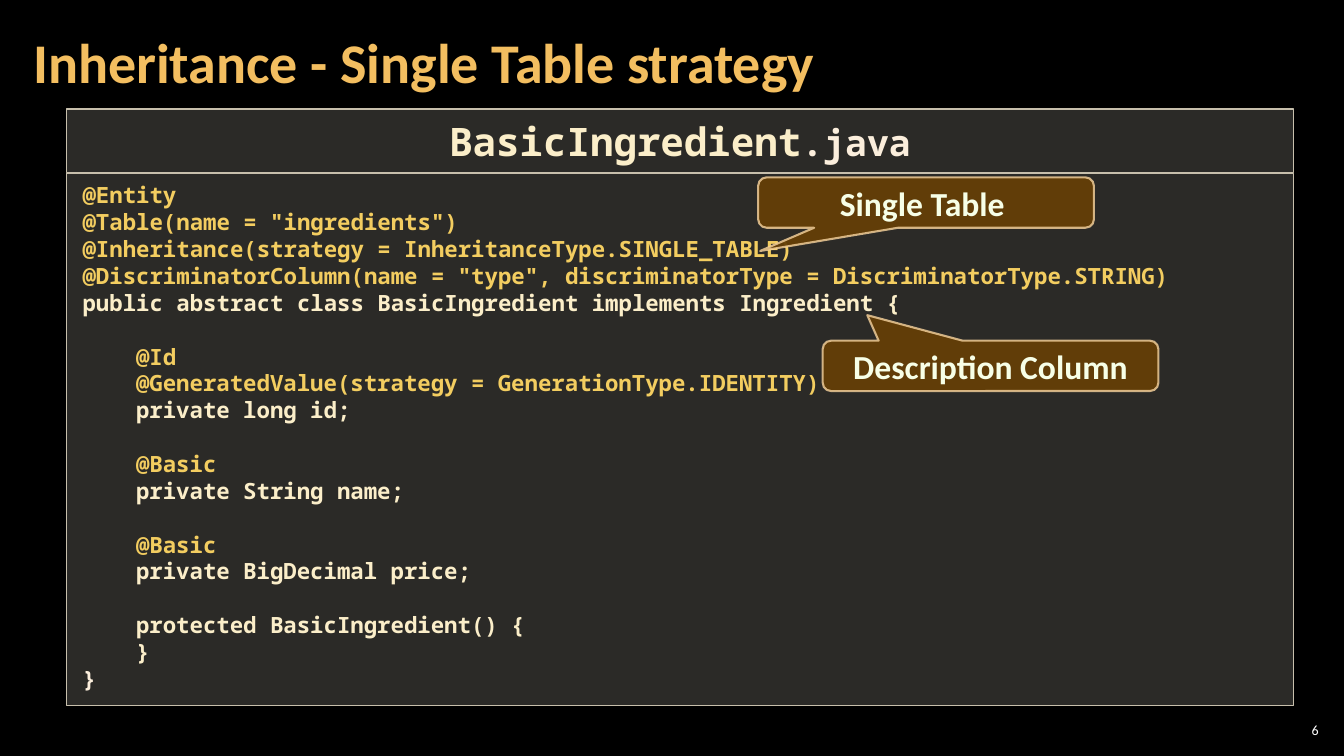
from pptx import Presentation
from pptx.dml.color import RGBColor
from pptx.enum.shapes import MSO_SHAPE
from pptx.enum.text import MSO_ANCHOR, PP_ALIGN
from pptx.oxml.ns import qn
from pptx.util import Inches, Pt
from lxml import etree

RECT, CALLOUT = MSO_SHAPE.RECTANGLE, MSO_SHAPE.ROUNDED_RECTANGULAR_CALLOUT
MIDDLE, TOP = MSO_ANCHOR.MIDDLE, MSO_ANCHOR.TOP
CENTER, LEFT, RIGHT = PP_ALIGN.CENTER, PP_ALIGN.LEFT, PP_ALIGN.RIGHT
MONO, SANS = "Noto Sans Mono", "Calibri"
GOLD, CREAM, PALE = "F3CD60", "FBEEC9", "FBEEDC"
CODE_SIZE = 16
LINE_RATIO = 1.2
PANEL_LEFT, PANEL_WIDTH = 0.66, 12.17


def paint(fmt, color, alpha=100):
    fmt.solid()
    fmt.fore_color.rgb = RGBColor.from_string(color)
    if alpha < 100:
        node = fmt._xPr.find(qn("a:solidFill"))[0]
        etree.SubElement(node, qn("a:alpha"), val=str(alpha * 1000))


def add_box(kind, box, fill, line, anchor, insets):
    sp = slide.shapes.add_shape(kind, *[Inches(v) for v in box])
    sp.shadow.inherit = False
    paint(sp.fill, *fill)
    color, width, alpha = line
    sp.line.width = Pt(width)
    paint(sp.line.fill, color, alpha)
    tf = sp.text_frame
    tf.word_wrap = True
    tf.vertical_anchor = anchor
    tf.margin_left = tf.margin_right = Inches(insets[0])
    tf.margin_top = tf.margin_bottom = Inches(insets[1])
    return sp


prs = Presentation()
prs.slide_width, prs.slide_height = Inches(13.33), Inches(7.5)
slide = prs.slides.add_slide(prs.slide_layouts[5])
paint(slide.background.fill, "000000")

title = slide.shapes.title
title.left, title.top = Inches(0.21), Inches(0.04)
title.width, title.height = Inches(10.47), Inches(1.21)
tf = title.text_frame
tf.text = "Inheritance - Single Table strategy"
tf.vertical_anchor = MIDDLE
tf.margin_left = tf.margin_right = Inches(0.12)
tf.margin_top = tf.margin_bottom = Inches(0.04)
p = tf.paragraphs[0]
p.alignment = LEFT
p.line_spacing = 0.9
p.font.name, p.font.size, p.font.bold = SANS, Pt(40), True
paint(p.font.fill, "F3BE60")

number = slide.shapes.add_textbox(Inches(12.65), Inches(7.14), Inches(0.47), Inches(0.21))
tf = number.text_frame
tf.word_wrap = True
tf.vertical_anchor = MIDDLE
tf.margin_left = tf.margin_right = tf.margin_top = tf.margin_bottom = Inches(0.04)
p = tf.paragraphs[0]
p.text = "6"
p.alignment = RIGHT
p.font.name, p.font.size = SANS, Pt(10)
paint(p.font.fill, "FFFFFF")

panel_style = (("D9D5C7", 20), ("C7BFAC", 1, 100), TOP, (0.16, 0.08))
code = add_box(RECT, (PANEL_LEFT, 1.72, PANEL_WIDTH, 5.28), *panel_style)
header = add_box(RECT, (PANEL_LEFT, 1.08, PANEL_WIDTH, 0.63), *panel_style)

code_blocks = [
    (0, ["@Entity",
         '@Table(name = "ingredients")',
         "@Inheritance(strategy = InheritanceType.SINGLE_TABLE)",
         '@DiscriminatorColumn(name = "type", discriminatorType = DiscriminatorType.STRING)',
         "public abstract class BasicIngredient implements Ingredient {"]),
    (1, ["@Id",
         "@GeneratedValue(strategy = GenerationType.IDENTITY)",
         "private long id;"]),
    (1, ["@Basic", "private String name;"]),
    (1, ["@Basic", "private BigDecimal price;"]),
    (1, ["protected BasicIngredient() {", "}"]),
    (0, ["}"]),
]
line_height = Pt(CODE_SIZE * LINE_RATIO)
p = code.text_frame.paragraphs[0]
for depth, lines in code_blocks:
    for i, text in enumerate(lines):
        if p.text:
            p = code.text_frame.add_paragraph()
        p.text = text
        p.alignment = LEFT
        p.line_spacing = line_height
        p.font.name, p.font.size, p.font.bold = MONO, Pt(CODE_SIZE), True
        color = GOLD if text.startswith("@") else CREAM if depth or len(text) > 1 else PALE
        paint(p.font.fill, color)
        if depth:
            pPr = p._p.get_or_add_pPr()
            pPr.set("marL", str(Inches(0.53)))
            pPr.set("indent", "0")
            if i == 0:
                p.space_before = line_height

p = header.text_frame.paragraphs[0]
p.alignment = CENTER
p.line_spacing = Pt(28 * LINE_RATIO)
p.font.name, p.font.bold = MONO, True
for text, size, color in [("BasicIngredient", 28, CREAM), (".java", 26, PALE)]:
    r = p.add_run()
    r.text = text
    r.font.size = Pt(size)
    paint(r.font.fill, color)

callouts = [
    ("Single Table ", 7.52, 1.76, (-0.494, 0.961, 0.167)),
    ("Description Column", 8.16, 3.38, (-0.367, -1.006, 0.167)),
]
for text, left, top, adjustments in callouts:
    sp = add_box(CALLOUT, (left, top, 3.33, 0.5), ("643F07", 95),
                 ("F8D49E", 1.5, 80), MIDDLE, (0.1, 0.05))
    for i, value in enumerate(adjustments):
        sp.adjustments[i] = value
    p = sp.text_frame.paragraphs[0]
    p.text = text
    p.alignment = CENTER
    p.font.name, p.font.size, p.font.bold = SANS, Pt(24), True
    paint(p.font.fill, "F7FFE7")

prs.save("out.pptx")
